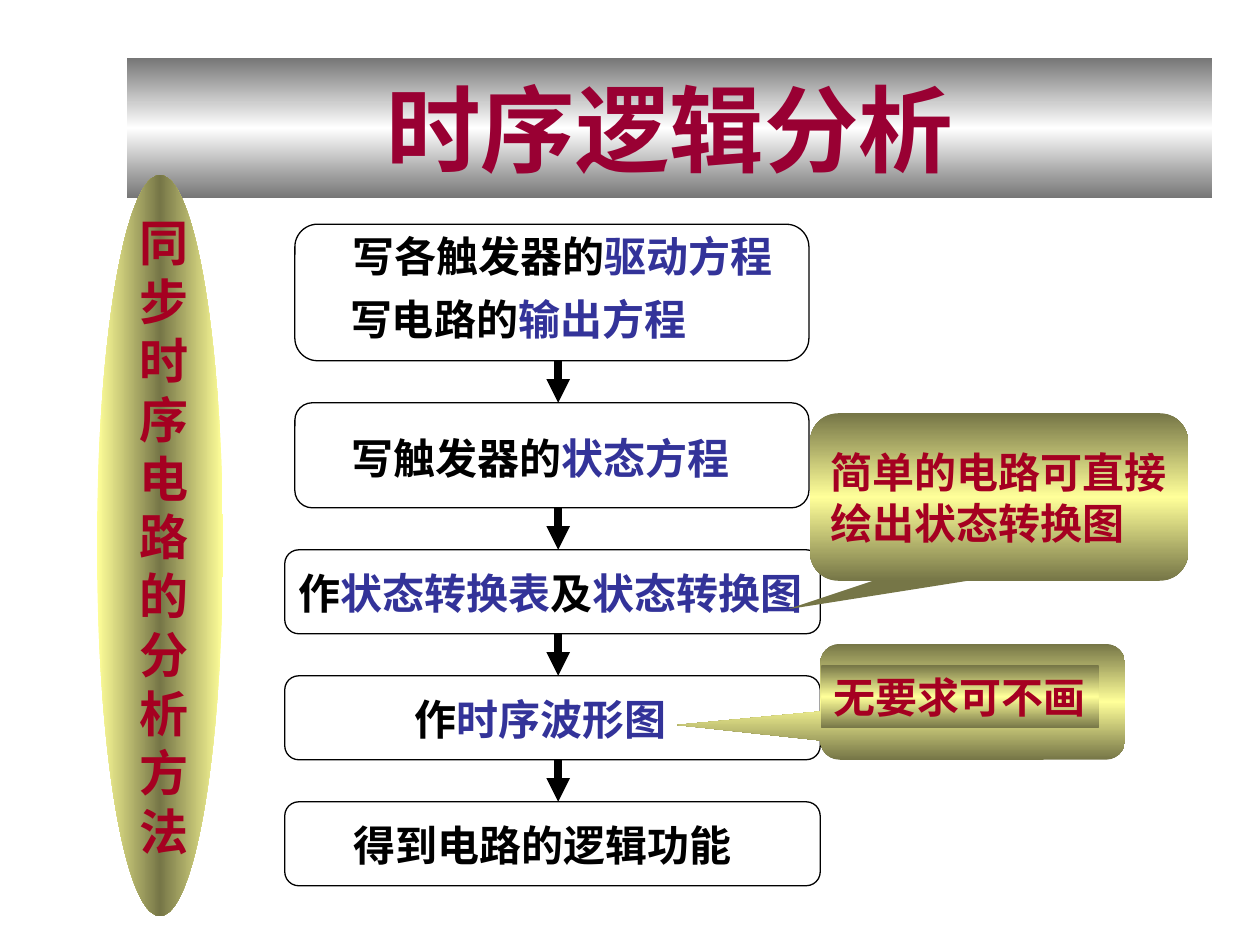
from copy import deepcopy

from pptx import Presentation
from pptx.dml.color import RGBColor
from pptx.enum.shapes import MSO_CONNECTOR, MSO_SHAPE
from pptx.enum.text import MSO_ANCHOR, MSO_AUTO_SIZE, PP_ALIGN
from pptx.oxml.ns import qn
from pptx.oxml.xmlchemy import OxmlElement
from pptx.util import Inches, Pt

THEME = {
    "font": "Arial",
    "ink": "000000", "term": "333399", "title": "990033", "note": "A50021",
    "silver": ("767676", "FFFFFF"),
    "olive": ("767647", "FFFF99"),
    "gold": ("FFFF99", "767647"),
    "title_size": 54, "method_size": 28, "body_size": 24,
    "outline": 0.75, "arrow": 4.5,
}

TITLE = "时序逻辑分析"
METHOD = "同步时序电路的分析方法"

# Each step: left, width, height in grid rows, offset of the first line, lines.
# Each line: left, width, and runs of (text, colour name).
STEPS = [
    (2.34, 4.08, 13, 0, [
        (2.7, 3.54, [("写各触发器的", "ink"), ("驱动方程", "term")]),
        (2.68, 2.87, [("写电路的", "ink"), ("输出方程", "term")])]),
    (2.34, 4.08, 10, 0.19, [
        (2.69, 3.2, [("写触发器的", "ink"), ("状态方程", "term")])]),
    (2.26, 4.25, 8, 0.09, [
        (2.27, 4.2, [("作", "ink"), ("状态转换表", "term"),
                     ("及", "ink"), ("状态转换图", "term")])]),
    (2.26, 4.25, 8, 0.09, [
        (3.19, 2.2, [("作", "ink"), ("时序波形图", "term")])]),
    (2.26, 4.25, 8, 0.09, [
        (2.71, 3.2, [("得到电路的逻辑功能", "ink")])]),
]
SHORTCUT = ["简单的电路可直接", "绘出状态转换图"]
OPTIONAL = "无要求可不画"

ROW = 1 / 12
GAP_ROWS = 4
FLOW_TOP = 1.78
ARROW_X = 4.43
LINE_HEIGHT = 0.5


def rgb(name):
    return RGBColor.from_string(THEME.get(name, name))


def write(box, paragraphs, size, wrap=False, anchor=MSO_ANCHOR.TOP,
          align=PP_ALIGN.LEFT):
    """Fill a box with paragraphs, each a list of (text, colour name) runs."""
    frame = box.text_frame
    frame.word_wrap = wrap
    frame.vertical_anchor = anchor
    for index, runs in enumerate(paragraphs):
        para = frame.add_paragraph() if index else frame.paragraphs[0]
        para.alignment = align
        for text, colour in runs:
            span = para.add_run()
            span.text = text
            style = {"name": THEME["font"], "size": Pt(size), "bold": True}
            for key, value in style.items():
                setattr(span.font, key, value)
            span.font.color.rgb = rgb(colour)


def add_text(page, area, paragraphs, size):
    box = page.shapes.add_textbox(*map(Inches, area))
    write(box, paragraphs, size)
    box.text_frame.auto_size = MSO_AUTO_SIZE.SHAPE_TO_FIT_TEXT


def add_shape(page, kind, area, gradient=None, angle=90, adjustments=()):
    """Add a plain outlined shape, or an unlined one with a mirrored gradient."""
    shape = page.shapes.add_shape(kind, *map(Inches, area))
    shape.shadow.inherit = False
    for index, value in enumerate(adjustments):
        shape.adjustments[index] = value
    if gradient is None:
        shape.fill.background()
        shape.line.color.rgb = rgb("ink")
        shape.line.width = Pt(THEME["outline"])
        return shape
    shape.line.fill.background()
    shape.fill.gradient()
    shape.fill.gradient_angle = angle
    for stop, colour, place in zip(shape.fill.gradient_stops, THEME[gradient], (0, 0.5)):
        stop.color.rgb = rgb(colour)
        stop.position = place
    stops = shape._element.spPr.find(qn("a:gradFill")).find(qn("a:gsLst"))
    last = deepcopy(stops[0])
    last.set("pos", "100000")
    stops.append(last)
    return shape


def add_arrow(page, top, bottom):
    arrow = page.shapes.add_connector(
        MSO_CONNECTOR.STRAIGHT, *map(Inches, (ARROW_X, top, ARROW_X, bottom)))
    arrow.line.color.rgb = rgb("ink")
    arrow.line.width = Pt(THEME["arrow"])
    head = OxmlElement("a:tailEnd")
    head.set("type", "triangle")
    arrow.line._get_or_add_ln().append(head)
    arrow._element.spPr.append(OxmlElement("a:effectLst"))


def add_flow(page):
    top = FLOW_TOP
    for index, (left, width, rows, offset, lines) in enumerate(STEPS):
        if index:
            add_arrow(page, top - GAP_ROWS * ROW, top)
        add_shape(page, MSO_SHAPE.FLOWCHART_ALTERNATE_PROCESS,
                  (left, top, width, rows * ROW))
        for number, (text_left, text_width, runs) in enumerate(lines):
            text_top = top + offset + number * LINE_HEIGHT
            add_text(page, (text_left, text_top, text_width, LINE_HEIGHT),
                     [runs], THEME["body_size"])
        top += (rows + GAP_ROWS) * ROW


def add_callouts(page):
    callout = MSO_SHAPE.ROUNDED_RECTANGULAR_CALLOUT
    shortcut = add_shape(page, callout, (6.43, 3.28, 3, 1.33), "olive",
                         adjustments=(-0.56, 0.67, 0.17))
    write(shortcut, [[(line, "note")] for line in SHORTCUT], THEME["body_size"],
          anchor=MSO_ANCHOR.MIDDLE, align=PP_ALIGN.JUSTIFY)
    add_shape(page, callout, (6.51, 5.11, 2.42, 0.92), "olive",
              adjustments=(-0.97, 0.2, 0.17))
    label = add_shape(page, MSO_SHAPE.RECTANGLE,
                      (6.52, 5.28, 2.2, LINE_HEIGHT), "olive")
    write(label, [[(OPTIONAL, "note")]], THEME["body_size"])


def main():
    deck = Presentation()
    deck.slide_width, deck.slide_height = Inches(10), Inches(7.5)
    page = deck.slides.add_slide(deck.slide_layouts[6])
    banner = add_shape(page, MSO_SHAPE.RECTANGLE, (1.01, 0.46, 8.61, 1.11), "silver")
    write(banner, [[(TITLE, "title")]], THEME["title_size"], wrap=True,
          anchor=MSO_ANCHOR.MIDDLE, align=PP_ALIGN.CENTER)
    add_flow(page)
    add_shape(page, MSO_SHAPE.OVAL, (0.77, 1.39, 1, 5.88), "gold", angle=0)
    add_text(page, (1.01, 1.64, 0.59, 5.24),
             [[(letter, "note")] for letter in METHOD], THEME["method_size"])
    add_callouts(page)
    deck.save("out.pptx")


if __name__ == "__main__":
    main()
